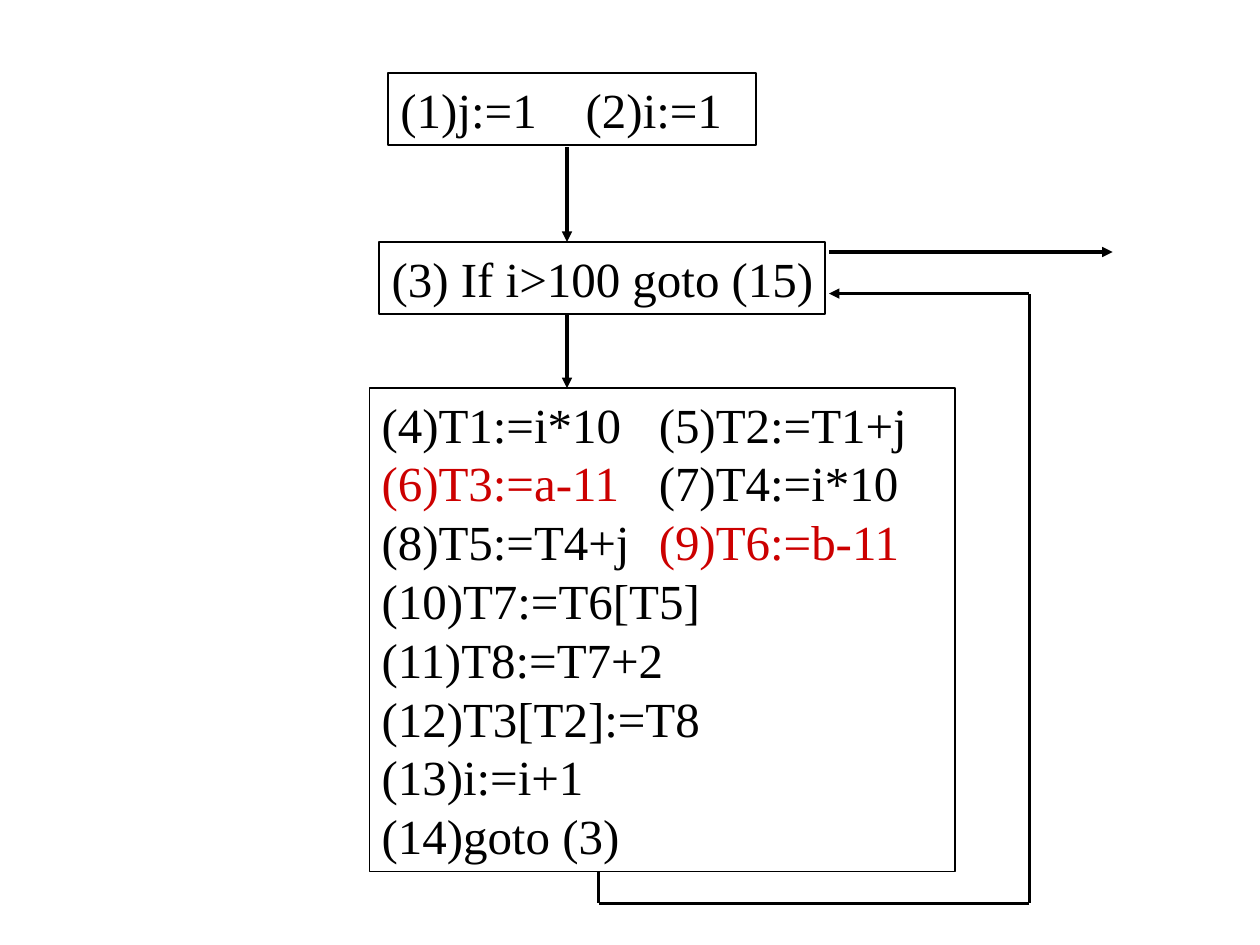
from itertools import pairwise

from lxml.etree import SubElement
from pptx import Presentation
from pptx.dml.color import RGBColor
from pptx.enum.shapes import MSO_CONNECTOR as CONNECTOR, MSO_SHAPE as SHAPE
from pptx.enum.text import MSO_ANCHOR as ANCHOR, PP_ALIGN as ALIGN
from pptx.oxml.ns import qn
from pptx.util import Inches, Pt

BLACK = "000000"
RED = "CC0000"


def color(hex_code):
    return RGBColor.from_string(hex_code)


def add_line(start, end, arrow):
    connector = slide.shapes.add_connector(
        CONNECTOR.STRAIGHT, *(Inches(value) for value in start + end))
    connector.line.color.rgb = color(BLACK)
    connector.line.width = Pt(1.75)
    properties = connector._element.spPr
    if arrow:
        SubElement(properties.find(qn("a:ln")), qn("a:tailEnd"), type="triangle")
    SubElement(properties, qn("a:effectLst"))


presentation = Presentation()
presentation.slide_width = Inches(10)
presentation.slide_height = Inches(7.5)
slide = presentation.slides.add_slide(presentation.slide_layouts[6])

blocks = [
    (3.08, 0.58, 2.92, 0.57, 1.25, 1.47, [["(1)j:=1", "(2)i:=1"]]),
    (3.01, 1.92, 3.54, 0.57, 1.25, None, [["(3) If i>100 goto (15)"]]),
    (2.93, 3.08, 4.65, 3.84, 0.75, 2.2, [
        ["(4)T1:=i*10", "(5)T2:=T1+j"],
        ["(6)T3:=a-11", "(7)T4:=i*10"],
        ["(8)T5:=T4+j", "(9)T6:=b-11"],
        ["(10)T7:=T6[T5]"],
        ["(11)T8:=T7+2"],
        ["(12)T3[T2]:=T8"],
        ["(13)i:=i+1"],
        ["(14)goto (3)"],
    ]),
]
red_statements = {"(6)T3:=a-11", "(9)T6:=b-11"}

for left, top, width, height, line_width, tab_stop, rows in blocks:
    shape = slide.shapes.add_shape(
        SHAPE.RECTANGLE, Inches(left), Inches(top), Inches(width), Inches(height))
    shape.shadow.inherit = False
    shape.fill.background()
    shape.line.color.rgb = color(BLACK)
    shape.line.width = Pt(line_width)
    text_frame = shape.text_frame
    text_frame.word_wrap = True
    text_frame.vertical_anchor = ANCHOR.TOP
    text_frame.margin_right = 0
    text_frame.text = "\n".join("\t".join(row) for row in rows)
    for row, paragraph in zip(rows, text_frame.paragraphs):
        paragraph.text = ""
        paragraph.alignment = ALIGN.LEFT
        paragraph.line_spacing = Pt(33.6)
        if len(row) > 1:
            tab_list = SubElement(paragraph._p.get_or_add_pPr(), qn("a:tabLst"))
            SubElement(tab_list, qn("a:tab"), pos=str(Inches(tab_stop)), algn="l")
        for index, statement in enumerate(row):
            run = paragraph.add_run()
            run.text = "\t" + statement if index else statement
            run.font.name = "Times New Roman"
            run.font.size = Pt(28)
            run.font.color.rgb = color(RED if statement in red_statements else BLACK)

routes = [
    [(4.5, 1.17), (4.5, 1.92)],
    [(4.5, 2.5), (4.5, 3.08)],
    [(4.75, 6.92), (4.75, 7.17), (8.17, 7.17), (8.17, 2.33), (6.58, 2.33)],
    [(6.58, 2), (8.83, 2)],
]
for route in routes:
    for start, end in pairwise(route):
        add_line(start, end, arrow=end == route[-1])

presentation.save("out.pptx")
